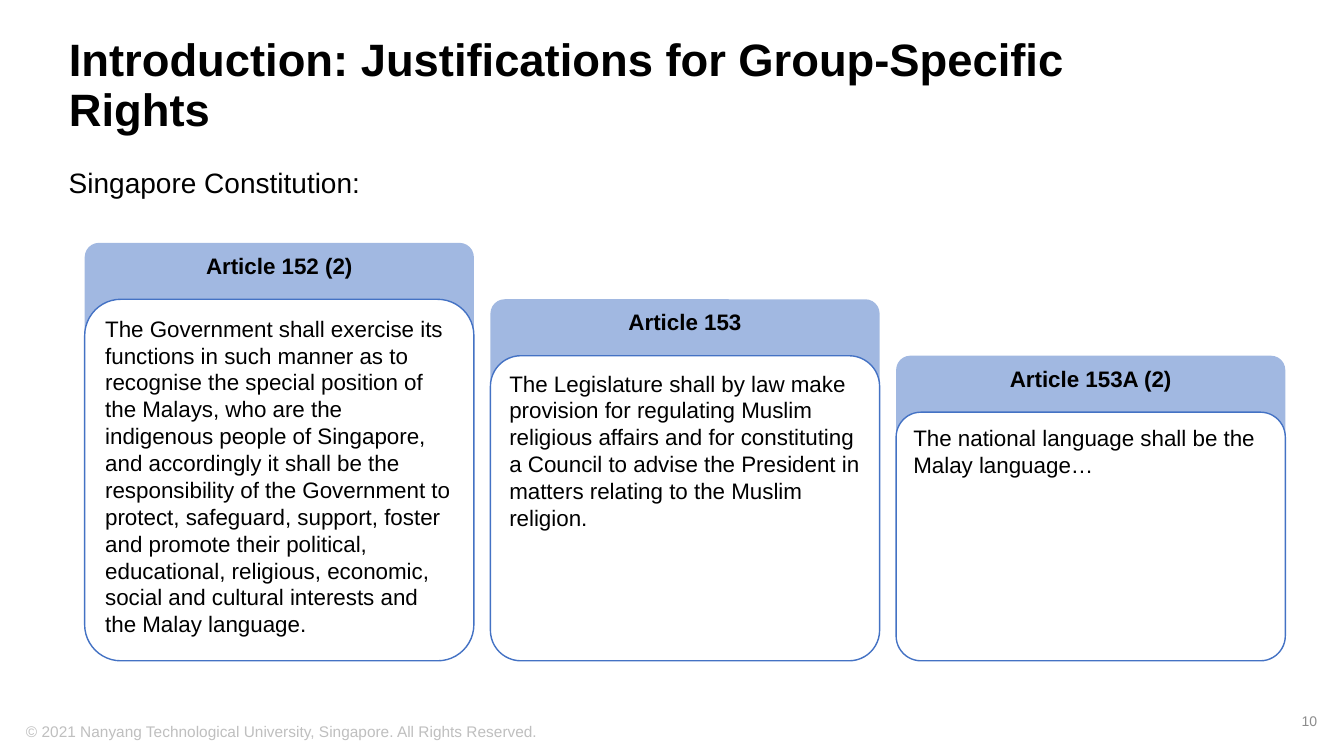
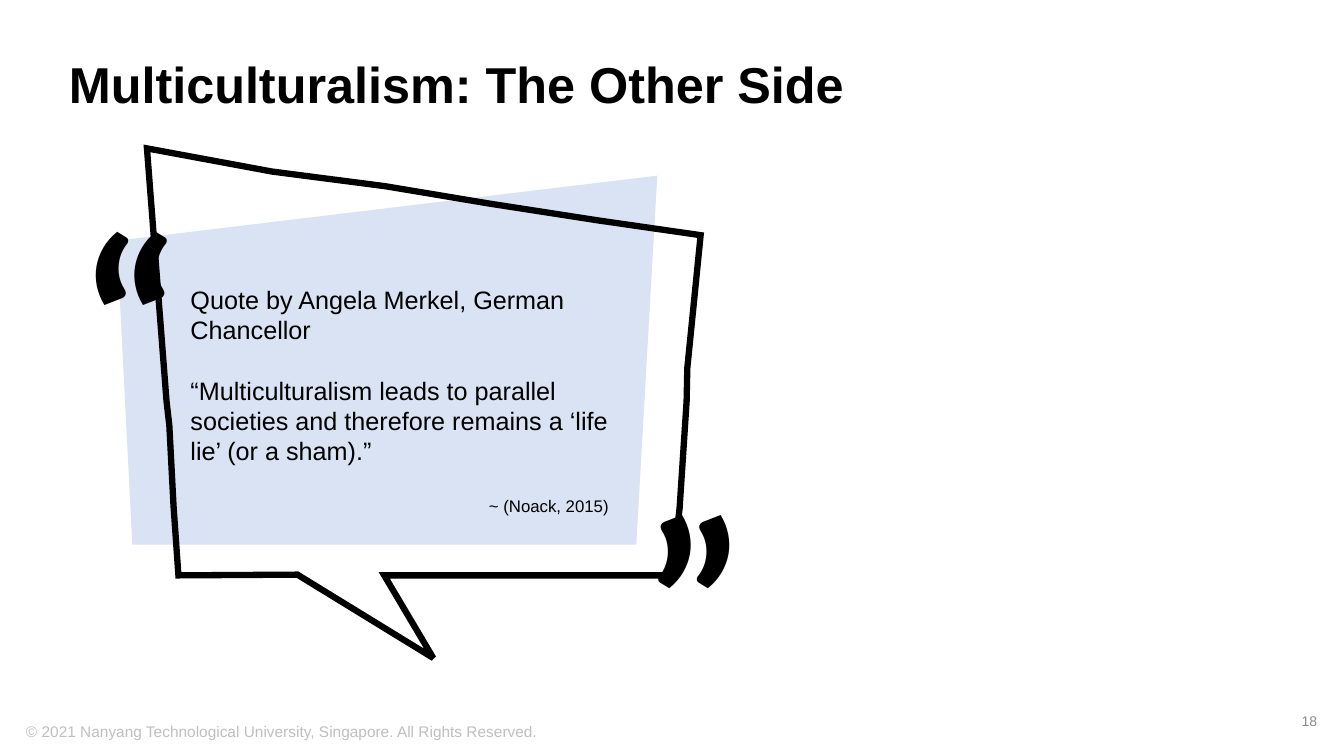
import pptx
import pptx.dml.color
import pptx.enum.shapes
import pptx.enum.text
import pptx.oxml
import pptx.oxml.ns
import pptx.util

Pt = pptx.util.Pt
RGBColor = pptx.dml.color.RGBColor
ALIGN = pptx.enum.text.PP_ALIGN
ANCHOR = pptx.enum.text.MSO_ANCHOR
SHAPE = pptx.enum.shapes.MSO_SHAPE

BLACK = RGBColor(0x00, 0x00, 0x00)
WHITE = RGBColor(0xFF, 0xFF, 0xFF)
BLUE = RGBColor(0x44, 0x72, 0xC4)
PALE_BLUE = RGBColor(0xDA, 0xE3, 0xF3)
FOOTER_GREY = RGBColor(0xBF, 0xBF, 0xBF)
NUMBER_GREY = RGBColor(0x8C, 0x8C, 0x8C)

COPYRIGHT = "© 2021 Nanyang Technological University, Singapore. All Rights Reserved."


class Deck:
    """Holds the style, the presentation and the current slide."""

    font = {"name": "Arial", "size": Pt(16), "bold": False}

    def __init__(self):
        self.prs = pptx.Presentation()
        self.prs.slide_width, self.prs.slide_height = Pt(960), Pt(540)
        self.s = None

    def slide(self, title, number, size=36):
        """Start a slide with its title, copyright line and number."""
        self.s = self.prs.slides.add_slide(self.prs.slide_layouts[5])
        sp = self.s.shapes.title
        sp.left, sp.top, sp.width, sp.height = Pt(42), Pt(29), Pt(828), Pt(66)
        self.put_text(sp, [title], anchor=ANCHOR.MIDDLE, size=Pt(size), bold=True)
        sp.text_frame.paragraphs[0].line_spacing = 0.9
        self.text([COPYRIGHT], 11.5, 512.5, 576, 16.5, color=FOOTER_GREY, size=Pt(11))
        self.text([str(number)], 732, 500.5, 216, 29, align=ALIGN.RIGHT,
                  anchor=ANCHOR.MIDDLE, color=NUMBER_GREY, size=Pt(10))

    def put_text(self, sp, lines, align=ALIGN.LEFT, anchor=ANCHOR.TOP, wrap=True,
                 gap=0, color=BLACK, **fmt):
        """Fill a shape with paragraphs in one format."""
        tf = sp.text_frame
        frame = {"word_wrap": wrap, "vertical_anchor": anchor,
                 "auto_size": pptx.enum.text.MSO_AUTO_SIZE.NONE}
        for key, value in frame.items():
            setattr(tf, key, value)
        for i, line in enumerate(lines):
            p = tf.paragraphs[0] if i == 0 else tf.add_paragraph()
            p.alignment = align
            p.space_before = Pt(gap if i else 0)
            r = p.add_run()
            r.text = line
            for key, value in {**self.font, **fmt}.items():
                setattr(r.font, key, value)
            r.font.color.rgb = color
        return sp

    def text(self, lines, x, y, w, h, **fmt):
        sp = self.s.shapes.add_textbox(Pt(x), Pt(y), Pt(w), Pt(h))
        return self.put_text(sp, lines, **fmt)

    def paint(self, sp, fill=None, line=None, width=1, alpha=None):
        """Set the fill and outline of a shape; None means neither."""
        sp.shadow.inherit = False
        if fill is None:
            sp.fill.background()
        else:
            sp.fill.solid()
            sp.fill.fore_color.rgb = fill
        if alpha is not None:
            clr = sp._element.spPr.find(".//" + pptx.oxml.ns.qn("a:srgbClr"))
            clr.append(self.xml("a:alpha", f'val="{alpha * 1000}"'))
        if line is None:
            sp.line.fill.background()
        else:
            sp.line.color.rgb = line
            sp.line.width = Pt(width)
        return sp

    def xml(self, tag, attrs="", inner=""):
        return pptx.oxml.parse_xml(
            f'<{tag} {pptx.oxml.ns.nsdecls("a")} {attrs}>{inner}</{tag}>')

    def rounded(self, text, x, y, w, h, look, **fmt):
        sp = self.s.shapes.add_shape(SHAPE.ROUNDED_RECTANGLE,
                                     Pt(x), Pt(y), Pt(w), Pt(h))
        sp.adjustments[0] = 0.1
        self.paint(sp, **look)
        return self.put_text(sp, [text], **fmt)

    def card(self, head, body, x, y, bottom):
        """Translucent header with a white body overlapping it."""
        w, drop = 278, 40.3
        self.rounded(head, x, y, w, 102, {"fill": BLUE, "alpha": 50},
                     align=ALIGN.CENTER, bold=True)
        self.rounded(body, x, y + drop, w, bottom - y - drop,
                     {"fill": WHITE, "line": BLUE})

    def outline(self, points, **look):
        """Closed polygon through the given points."""
        pts = [(Pt(x), Pt(y)) for x, y in points]
        fb = self.s.shapes.build_freeform(*pts[0], scale=1.0)
        fb.add_line_segments(pts[1:], close=True)
        sp = self.paint(fb.convert_to_shape(), **look)
        if look.get("line") is not None:
            ln = sp._element.spPr.find(pptx.oxml.ns.qn("a:ln"))
            ln.append(self.xml("a:miter", 'lim="800000"'))
        return sp

    def quote_mark(self, x, y, rotation=0):
        sp = self.text(["“"], x, y, 70, 208, align=ALIGN.CENTER, wrap=False,
                       name="Lato", size=Pt(166), bold=True)
        sp.rotation = rotation
        rPr = sp._element.find(".//" + pptx.oxml.ns.qn("a:rPr"))
        fill = f'<a:solidFill><a:srgbClr val="{BLACK}"/></a:solidFill>'
        rPr.insert(0, self.xml("a:ln", f'w="{int(Pt(0.75))}"', fill))


ARTICLES = [
    ("Article 152 (2)",
     "The Government shall exercise its functions in such manner as to recognise "
     "the special position of the Malays, who are the indigenous people of "
     "Singapore, and accordingly it shall be the responsibility of the Government "
     "to protect, safeguard, support, foster and promote their political, "
     "educational, religious, economic, social and cultural interests and the "
     "Malay language."),
    ("Article 153",
     "The Legislature shall by law make provision for regulating Muslim religious "
     "affairs and for constituting a Council to advise the President in matters "
     "relating to the Muslim religion."),
    ("Article 153A (2)",
     "The national language shall be the Malay language…"),
]

PANEL = [(83.5, 172), (469.5, 125.5), (454.5, 389), (94.5, 389)]
BUBBLE = [
    (105, 106), (186, 121), (194, 122.5), (275, 133), (350, 145.5),
    (427.5, 157.5), (500.5, 168), (491, 263), (490.5, 286.5), (485.5, 363),
    (480, 411), (274.5, 411), (309.5, 470), (212.5, 410.5), (127.5, 411),
    (124, 361.5), (121, 304), (119, 286.5),
]


def constitution(deck):
    deck.slide("Introduction: Justifications for Group-Specific Rights", 10, 32.4)
    deck.text(["Singapore Constitution:"], 42, 115, 828, 36, size=Pt(20))
    # Stepped cards sharing one bottom edge
    for i, (head, body) in enumerate(ARTICLES):
        deck.card(head, body, 60.5 + 289.8 * i, 173.5 + 40.3 * i, 472)


def other_side(deck):
    deck.slide("Multiculturalism: The Other Side", 18)
    # Speech bubble over a tinted panel
    deck.outline(PANEL, fill=PALE_BLUE)
    deck.outline(BUBBLE, line=BLACK, width=4.5)
    deck.quote_mark(59, 125.5)
    deck.quote_mark(461, 252.5, 180)
    # Quotation and its source
    sp = deck.text(["Quote by Angela Merkel, German Chancellor",
                    "“Multiculturalism leads to parallel societies and therefore "
                    "remains a ‘life lie’ (or a sham).”",
                    "~ (Noack, 2015)"],
                   129, 199.5, 313, 174, gap=21.6, size=Pt(18))
    source = sp.text_frame.paragraphs[-1]
    source.alignment = ALIGN.RIGHT
    source.runs[0].font.size = Pt(12)


def main():
    deck = Deck()
    constitution(deck)
    other_side(deck)
    deck.prs.save("out.pptx")


if __name__ == "__main__":
    main()
